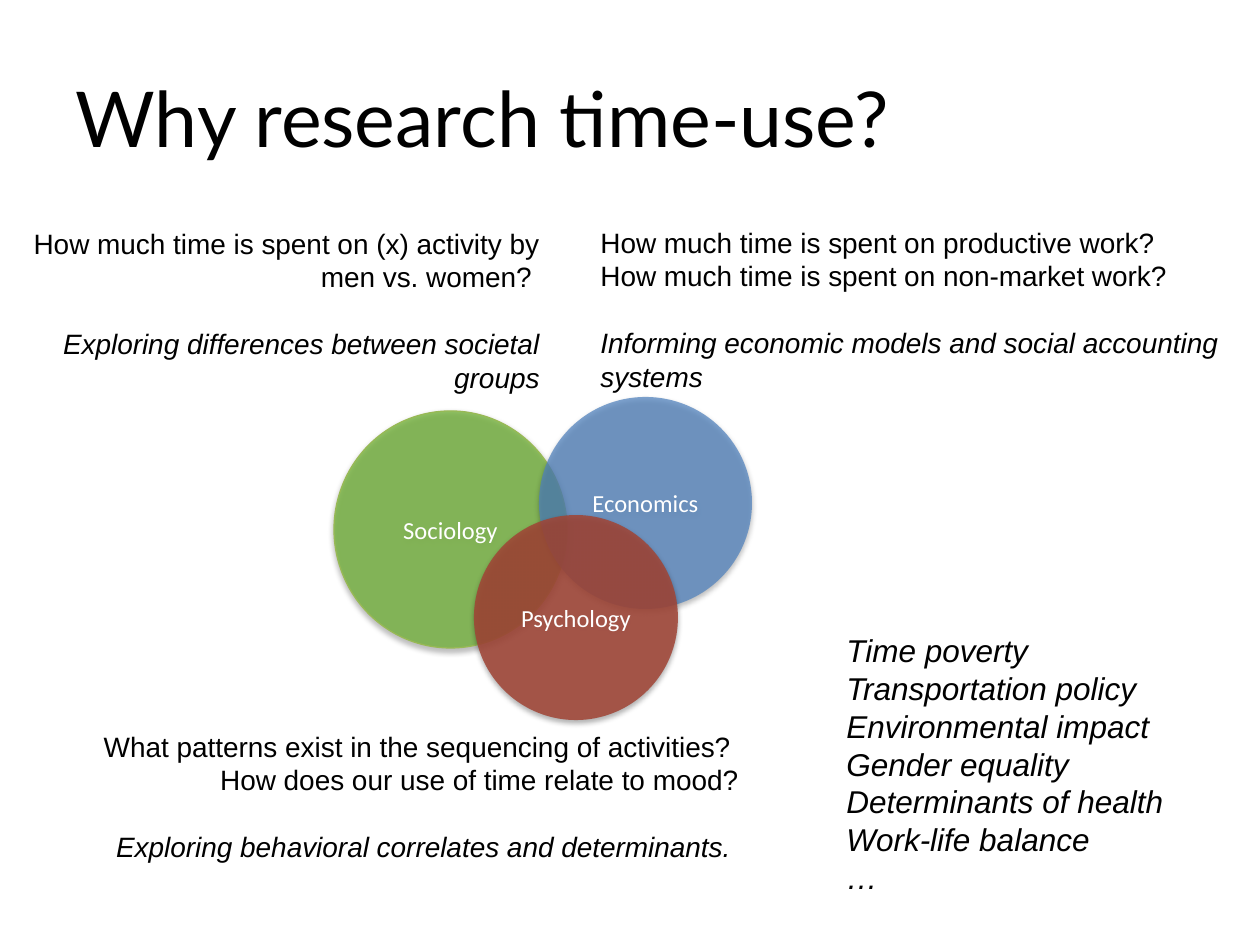
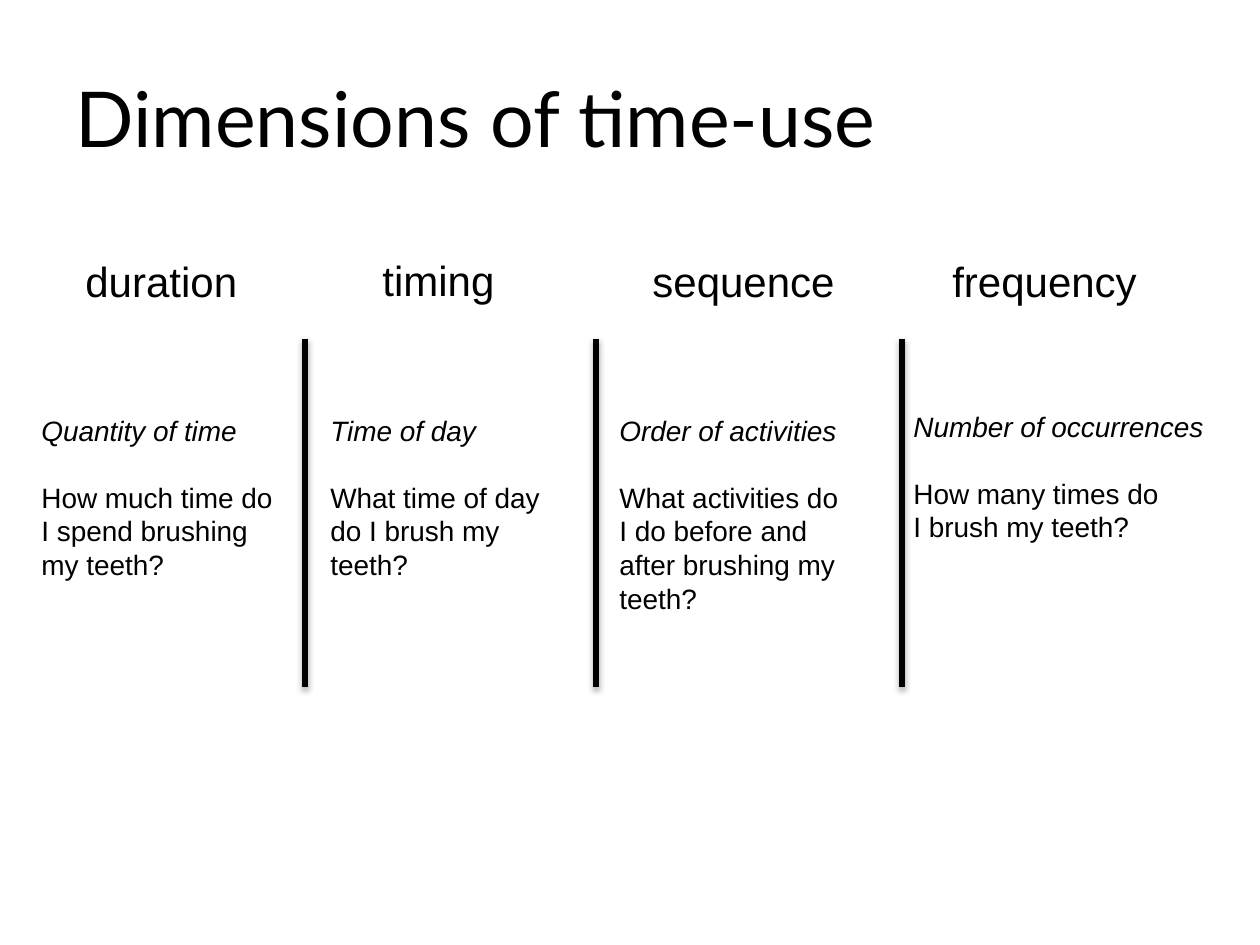
from dataclasses import dataclass

from lxml import etree
from pptx import Presentation
from pptx.dml.color import RGBColor
from pptx.enum.shapes import MSO_CONNECTOR, MSO_SHAPE
from pptx.enum.text import MSO_ANCHOR, PP_ALIGN
from pptx.oxml import parse_xml
from pptx.oxml.ns import qn
from pptx.util import Emu, Inches, Pt

OVAL = MSO_SHAPE.OVAL
STRAIGHT = MSO_CONNECTOR.STRAIGHT
MIDDLE = MSO_ANCHOR.MIDDLE
LEFT, CENTER, RIGHT = PP_ALIGN.LEFT, PP_ALIGN.CENTER, PP_ALIGN.RIGHT
SCALE = 914400 / 126
LEADING = 1.2


@dataclass(frozen=True)
class Theme:
    ink: str = "000000"
    paper: str = "FFFFFF"
    green: str = "6DB031"
    rim: str = "98B955"
    blue: str = "4F81BD"
    red: str = "A14536"
    title_font: str = "Lato"
    body_font: str = "Arial"
    label_font: str = "Calibri"
    title: int = 44
    head: int = 24
    list: int = 18
    body: int = 16
    label: int = 14


THEME = Theme()

SHADOW = (
    '<a:effectLst xmlns:a="http://schemas.openxmlformats.org/drawingml/2006/main">'
    '<a:outerShdw blurRad="40000" dist="23000" dir="5400000" rotWithShape="0">'
    '<a:srgbClr val="000000"><a:alpha val="35000"/></a:srgbClr>'
    "</a:outerShdw></a:effectLst>"
)


def px(*values):
    return [Emu(round(value * SCALE)) for value in values]


def tint(name):
    return RGBColor.from_string(name)


def write(frame, *blocks, font=THEME.body_font, size=THEME.body, color=THEME.ink,
          align=LEFT, italics=(), lead=None):
    frame.word_wrap = True
    first = True
    for index, block in enumerate(blocks):
        for row, line in enumerate(block.split("\n")):
            para = frame.paragraphs[0] if first else frame.add_paragraph()
            para.text = line
            para.alignment = align
            if lead:
                para.line_spacing = Pt(lead * size)
            if index and not row:
                para.space_before = Pt(LEADING * size)
            for run in para.runs:
                run.font.name = font
                run.font.size = Pt(size)
                run.font.italic = index in italics
                run.font.color.rgb = tint(color)
            first = False


def shade(shape):
    shape._element.spPr.append(parse_xml(SHADOW))


def add_page(deck, title):
    slide = deck.slides.add_slide(deck.slide_layouts[5])
    holder = slide.shapes.title
    holder.left, holder.top, holder.width, holder.height = px(63, 38, 1134, 157)
    holder.text_frame.vertical_anchor = MIDDLE
    write(holder.text_frame, title, font=THEME.title_font, size=THEME.title)
    return slide


def add_text(slide, box, *blocks, **style):
    frame = slide.shapes.add_textbox(*px(*box)).text_frame
    write(frame, *blocks, lead=LEADING, **style)


def add_disc(slide, box, label, fill, alpha, rim=None):
    disc = slide.shapes.add_shape(OVAL, *px(*box))
    disc.fill.solid()
    disc.fill.fore_color.rgb = tint(fill)
    color = disc._element.spPr.find(qn("a:solidFill")).find(qn("a:srgbClr"))
    etree.SubElement(color, qn("a:alpha")).set("val", str(alpha * 1000))
    if rim:
        disc.line.color.rgb = tint(rim)
        disc.line.width = Pt(0.75)
    else:
        disc.line.fill.background()
    shade(disc)
    disc.text_frame.vertical_anchor = MIDDLE
    write(disc.text_frame, label, font=THEME.label_font, size=THEME.label,
          color=THEME.paper, align=CENTER)


def add_rule(slide, x, top, bottom):
    rule = slide.shapes.add_connector(STRAIGHT, *px(x, top, x, bottom))
    rule.line.color.rgb = tint(THEME.ink)
    rule.line.width = Pt(3)
    shade(rule)


def add_reasons(deck):
    slide = add_page(deck, "Why research time-use?")
    add_disc(slide, (334, 411, 233, 237), "Sociology", THEME.green, 73, THEME.rim)
    add_disc(slide, (539, 397, 213, 212), "Economics", THEME.blue, 73)
    add_disc(slide, (474, 515, 204, 205), "Psychology", THEME.red, 86)
    add_text(slide, (1, 220, 551, 217),
             "How much time is spent on (x) activity by men vs. women? ",
             "Exploring differences between societal groups",
             align=RIGHT, italics=(1,))
    add_text(slide, (588, 219, 672, 217),
             "How much time is spent on productive work?\n"
             "How much time is spent on non-market work?",
             "Informing economic models and social accounting systems",
             italics=(1,))
    add_text(slide, (29, 723, 722, 183),
             "What patterns exist in the sequencing of activities? \n"
             "How does our use of time relate to mood?",
             "Exploring behavioral correlates and determinants. ",
             align=RIGHT, italics=(1,))
    add_text(slide, (834, 625, 426, 300),
             "Time poverty\nTransportation policy\nEnvironmental impact\n"
             "Gender equality\nDeterminants of health\nWork-life balance\n…",
             size=THEME.list, italics=(0,))


def add_facets(deck):
    slide = add_page(deck, "Dimensions of time-use")
    for x in (305, 596, 902):
        add_rule(slide, x, 339, 687)
    facets = (
        ("duration", (73, 249, 205, 63), (29, 407, 270, 217),
         "Quantity of time", "How much time do I spend brushing\vmy teeth?"),
        ("timing", (370, 248, 164, 63), (318, 407, 265, 183),
         "Time of day", "What time of day\vdo I brush my \vteeth?"),
        ("sequence", (640, 249, 223, 63), (607, 407, 285, 217),
         "Order of activities",
         "What activities do \vI do before and \vafter brushing my\vteeth?"),
        ("frequency", (940, 249, 238, 63), (901, 403, 359, 149),
         "Number of occurrences", "How many times do \vI brush my teeth?"),
    )
    for name, head, body, gist, query in facets:
        add_text(slide, head, name, size=THEME.head)
        add_text(slide, body, gist, query, italics=(0,))


def main():
    deck = Presentation()
    deck.slide_width, deck.slide_height = Inches(10), Inches(7.5)
    add_reasons(deck)
    add_facets(deck)
    deck.save("out.pptx")


main()
